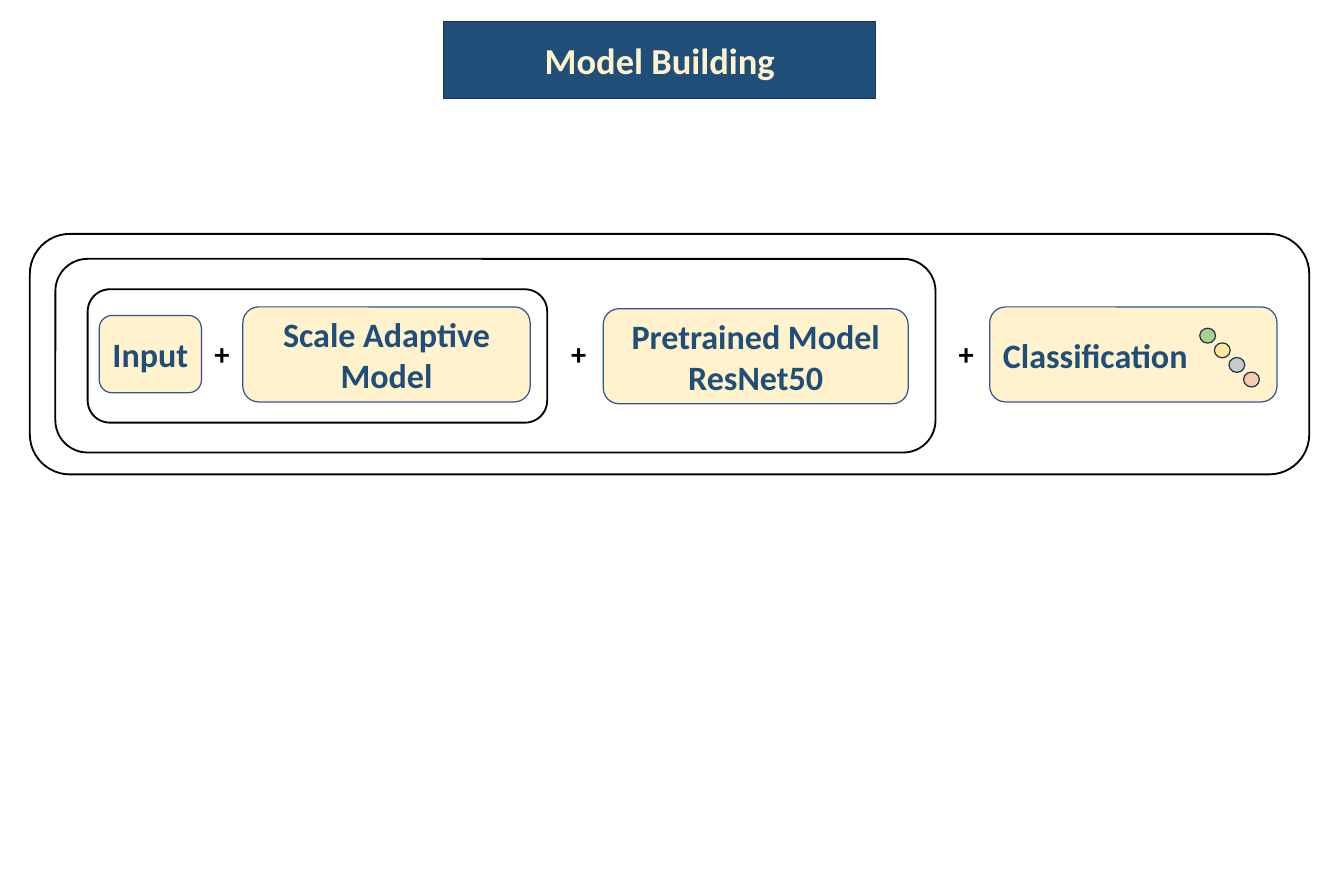
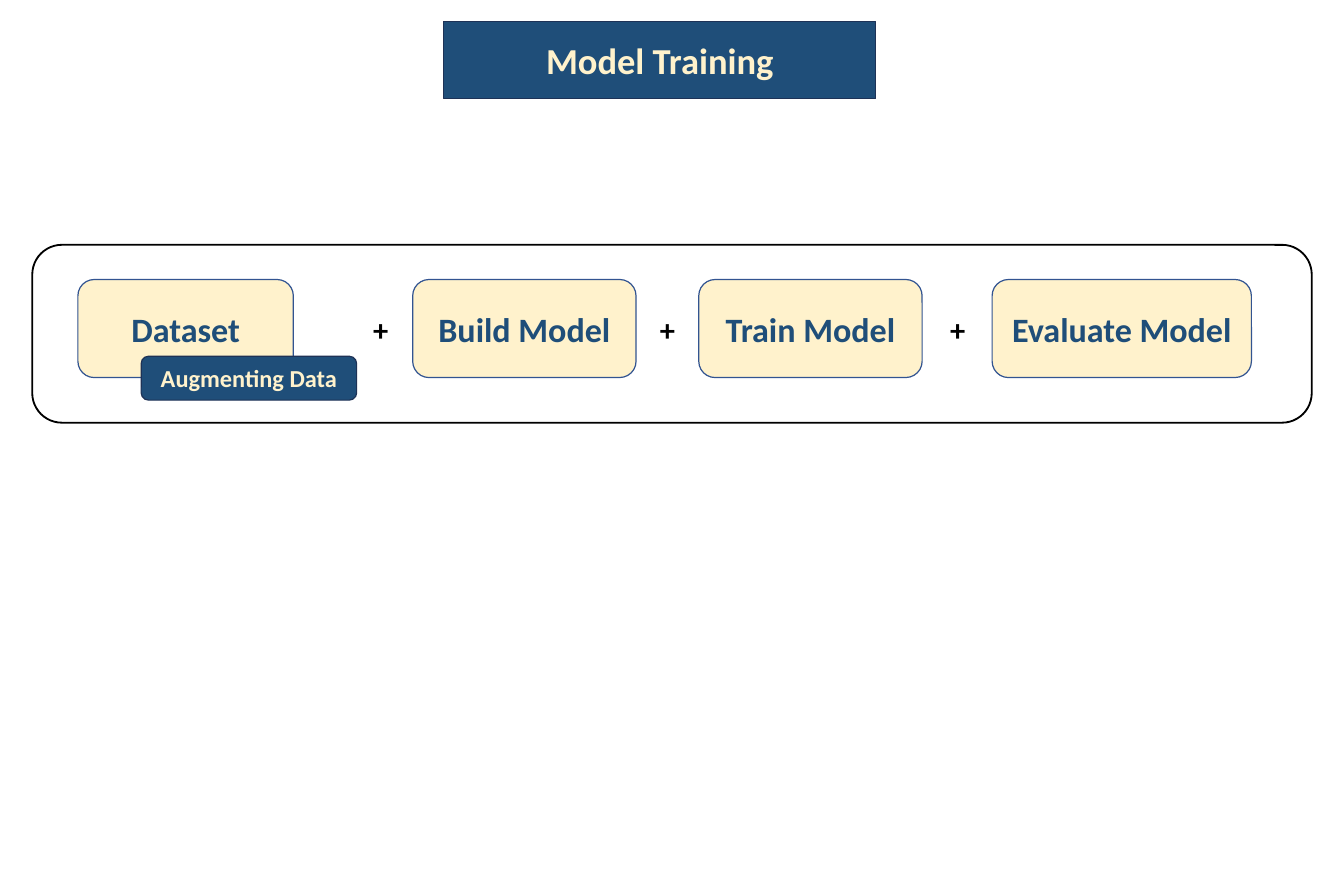
from dataclasses import dataclass

from lxml.etree import SubElement
from pptx import Presentation
from pptx.dml.color import RGBColor
from pptx.enum.shapes import MSO_SHAPE
from pptx.enum.text import MSO_ANCHOR, MSO_AUTO_SIZE, PP_ALIGN
from pptx.oxml.ns import qn
from pptx.util import Pt


@dataclass(frozen=True)
class Theme:
    font: str = "Calibri"
    navy: str = "1F4E79"
    cream: str = "FFF2CC"
    edge: str = "325491"
    dark: str = "1E3256"
    black: str = "000000"
    head: int = 30
    body: int = 28
    plus: int = 25
    small: int = 20


THEME = Theme()
SIZE = (1104, 720)
TITLE = (364.5, 17.5, 355, 63.5)
PLUS = (25, 37.5)
DOT = (13, 12.25)
STEP = 12

# Every box is (left, top, width, height) in points.
SLIDES = [
    {
        "title": "Model Building",
        "steps": [
            (["Input"], (81.5, 259, 84, 63.5)),
            (["Scale Adaptive Model"], (199.5, 252, 236, 78)),
            (["Pretrained Model", "ResNet50"], (495.5, 253.5, 250.5, 78)),
        ],
        "classes": ("Classification", (813, 252, 236, 78)),
        "dots": ((985.5, 269.5), ["A9D18E", "FFE699", "C9C9C9", "F8CBAD"]),
        "pluses": (271.5, [169, 462, 780.5]),
        "frames": [
            (24.5, 192, 1051, 197.5),
            (45.5, 212.5, 723, 159),
            (72, 237.5, 377.5, 109.5),
        ],
    },
    {
        "title": "Model Training",
        "steps": [
            ([name], (left, 229.5, width, 80.5))
            for name, left, width in [
                ("Dataset", 64, 177),
                ("Build Model", 339, 183.5),
                ("Train Model", 574, 183.5),
                ("Evaluate Model", 815, 213),
            ]
        ],
        "tag": ("Augmenting Data", (116, 292.5, 177, 36)),
        "pluses": (251.5, [299.5, 535, 773.5]),
        "frames": [(26.5, 201, 1051, 146)],
    },
]


def rgb(code):
    return RGBColor.from_string(code)


def paint(shape, fill, line, width=1):
    if fill:
        shape.fill.solid()
        shape.fill.fore_color.rgb = rgb(fill)
    else:
        shape.fill.background()
    shape.line.color.rgb = rgb(line)
    shape.line.width = Pt(width)


def write(shape, lines, size, color, align=PP_ALIGN.CENTER):
    frame = shape.text_frame
    frame.vertical_anchor = MSO_ANCHOR.MIDDLE
    for i, line in enumerate(lines):
        para = frame.add_paragraph() if i else frame.paragraphs[0]
        para.alignment = align
        run = para.add_run()
        run.text = line
        font = run.font
        font.name, font.size, font.bold = THEME.font, Pt(size), True
        font.color.rgb = rgb(color)


def draw(slide, box, fill, line, width=1, kind=MSO_SHAPE.ROUNDED_RECTANGLE):
    shape = slide.shapes.add_shape(kind, *map(Pt, box))
    shape.shadow.inherit = False
    paint(shape, fill, line, width)
    return shape


def add_title(slide, text):
    """Turn the title placeholder into the rounded navy band."""
    title = slide.shapes.title
    title.left, title.top, title.width, title.height = map(Pt, TITLE)
    geom = SubElement(title._element.spPr, qn("a:prstGeom"), prst="roundRect")
    SubElement(geom, qn("a:avLst"))
    paint(title, THEME.navy, THEME.dark)
    title.text_frame.word_wrap = True
    title.text_frame.auto_size = MSO_AUTO_SIZE.NONE
    write(title, [text], THEME.head, THEME.cream)


def add_step(slide, lines, box, align=PP_ALIGN.CENTER):
    shape = draw(slide, box, THEME.cream, THEME.edge)
    write(shape, lines, THEME.body, THEME.navy, align)


def add_plus(slide, left, top):
    box = slide.shapes.add_textbox(*map(Pt, (left, top, *PLUS)))
    write(box, ["+"], THEME.plus, THEME.black, PP_ALIGN.LEFT)


def add_dots(slide, start, colors):
    """Lay the class dots on a falling diagonal."""
    left, top = start
    for i, color in enumerate(colors):
        box = (left + i * STEP, top + i * STEP, *DOT)
        draw(slide, box, color, THEME.dark, kind=MSO_SHAPE.OVAL)


def build(deck, data):
    slide = deck.slides.add_slide(deck.slide_layouts.get_by_name("Title Only"))
    add_title(slide, data["title"])
    for lines, box in data["steps"]:
        add_step(slide, lines, box)
    if "classes" in data:
        name, box = data["classes"]
        add_step(slide, [name], box, PP_ALIGN.LEFT)
        add_dots(slide, *data["dots"])
    if "tag" in data:
        name, box = data["tag"]
        tag = draw(slide, box, THEME.navy, THEME.dark)
        write(tag, [name], THEME.small, THEME.cream)
    top, lefts = data["pluses"]
    for left in lefts:
        add_plus(slide, left, top)
    for box in data["frames"]:
        draw(slide, box, None, THEME.black, 1.5)


def main():
    deck = Presentation()
    deck.slide_width, deck.slide_height = map(Pt, SIZE)
    for data in SLIDES:
        build(deck, data)
    deck.save("out.pptx")


if __name__ == "__main__":
    main()
